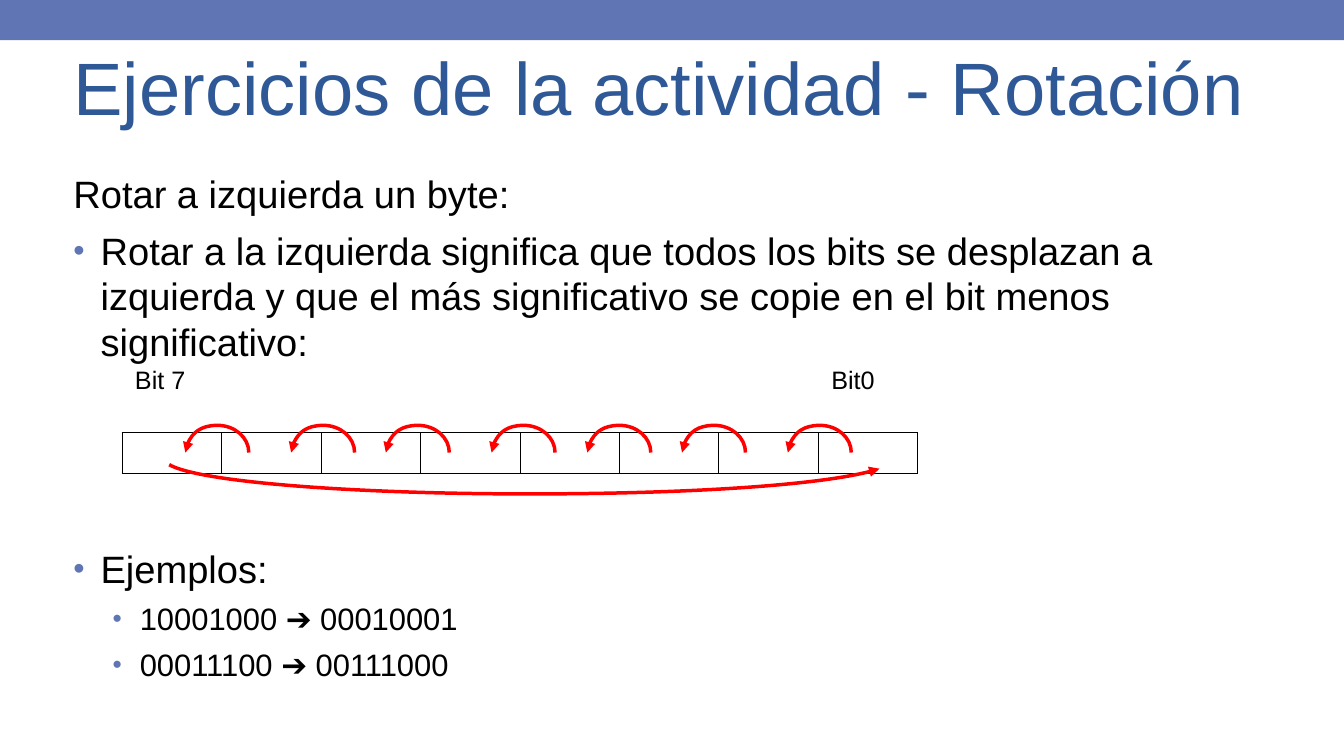
from lxml import etree
from pptx import Presentation
from pptx.dml.color import RGBColor
from pptx.enum.shapes import MSO_SHAPE as Shape
from pptx.enum.text import MSO_ANCHOR as Anchor
from pptx.oxml.ns import qn
from pptx.util import Inches, Pt

FONT = "Arial"
BLUE, TITLE_BLUE, BLACK, RED = "6076B4", "2F5897", "000000", "FF0000"

TITLE = "Ejercicios de la actividad - Rotación"
BODY = [
    dict(text="Rotar a izquierda un byte:", size=27.2, before=8, margin=0.27, bullet=False),
    dict(text="Rotar a la izquierda significa que todos los bits se desplazan a "
              "izquierda y que el más significativo se copie en el bit menos significativo:",
         size=27.2, before=8, margin=0.27, bullet=True),
    dict(text="Ejemplos:", size=27.2, before=129, margin=0.27, bullet=True),
    dict(text="10001000 ➔ 00010001", size=22.1, before=6.5, margin=0.66, bullet=True),
    dict(text="00011100 ➔ 00111000", size=22.1, before=6.5, margin=0.66, bullet=True),
]
BIT_LABELS = {0: "Bit 7", 7: "Bit0"}
BIT_COUNT = 8
TABLE_BOX = (1.21, 3.59, 7.9, 1.11)
ROWS = [dict(height=0.7, lined="B"), dict(height=0.41, lined="LRTB")]
HOP_LEFTS = (7.82, 6.77, 5.83, 4.88, 3.83, 2.89, 1.84)
HOP_TOP = 4.22
HOP_CURVE = [(0.63, 0.27), (0.63, 0.12), (0.49, 0), (0.32, 0),
             (0.15, 0), (0.01, 0.12), (0, 0.27)]
WRAP_CURVE = [(1.68, 4.61), (1.97, 4.78), (3.48, 4.9), (5.25, 4.9),
              (6.87, 4.9), (8.29, 4.8), (8.73, 4.65)]


def color(value):
    return RGBColor.from_string(value)


def box(values):
    return [Inches(value) for value in values]


def add_xml(parent, tag, **attributes):
    return etree.SubElement(parent, qn(tag), attributes)


def style_run(run, size, value):
    for name, setting in dict(name=FONT, size=Pt(size)).items():
        setattr(run.font, name, setting)
    run.font.color.rgb = color(value)


def add_text_frame(slide, bounds, anchor):
    frame = slide.shapes.add_textbox(*box(bounds)).text_frame
    for name, setting in dict(word_wrap=True, vertical_anchor=anchor).items():
        setattr(frame, name, setting)
    return frame


def add_title(slide):
    frame = add_text_frame(slide, (0.63, 0.23, 12, 1.25), Anchor.MIDDLE)
    run = frame.paragraphs[0].add_run()
    run.text = TITLE
    style_run(run, 53, TITLE_BLUE)


def add_body(slide):
    frame = add_text_frame(slide, (0.63, 1.64, 12, 5.47), Anchor.TOP)
    for index, item in enumerate(BODY):
        paragraph = frame.add_paragraph() if index else frame.paragraphs[0]
        paragraph.space_before = Pt(item["before"])
        paragraph.level = int(item["margin"] > 0.27)
        properties = paragraph._p.get_or_add_pPr()
        properties.set("marL", str(Inches(item["margin"])))
        properties.set("indent", str(Inches(-0.27)))
        if item["bullet"]:
            add_xml(add_xml(properties, "a:buClr"), "a:srgbClr", val=BLUE)
            add_xml(properties, "a:buSzPct", val="85000")
            add_xml(properties, "a:buFont", typeface=FONT)
            add_xml(properties, "a:buChar", char="•")
        run = paragraph.add_run()
        run.text = item["text"]
        style_run(run, item["size"], BLACK)


def set_borders(cell, lined):
    properties = cell._tc.get_or_add_tcPr()
    for position, side in enumerate("LRTB"):
        line = etree.Element(qn(f"a:ln{side}"), w=str(Pt(0.45)))
        if side in lined:
            add_xml(add_xml(line, "a:solidFill"), "a:srgbClr", val=BLACK)
        else:
            add_xml(line, "a:noFill")
        properties.insert(position, line)


def add_byte_table(slide):
    table = slide.shapes.add_table(len(ROWS), BIT_COUNT, *box(TABLE_BOX)).table
    table.first_row = table.horz_banding = False
    for row_index, row in enumerate(ROWS):
        table.rows[row_index].height = Inches(row["height"])
        for column in range(BIT_COUNT):
            cell = table.cell(row_index, column)
            cell.fill.background()
            cell.margin_left = cell.margin_right = Inches(0.13)
            set_borders(cell, row["lined"])
            if row_index == 0 and column in BIT_LABELS:
                run = cell.text_frame.paragraphs[0].add_run()
                run.text = BIT_LABELS[column]
                style_run(run, 18, BLACK)


def bend_segments(shape):
    segments = list(shape.element.iter(qn("a:lnTo")))
    for start in range(0, len(segments), 3):
        curve = etree.Element(qn("a:cubicBezTo"))
        segments[start].addprevious(curve)
        for segment in segments[start:start + 3]:
            curve.append(segment[0])
            segment.getparent().remove(segment)


def add_curved_arrow(slide, curve, left=0, top=0):
    points = [box((left + x, top + y)) for x, y in curve]
    builder = slide.shapes.build_freeform(*points[0])
    builder.add_line_segments(points[1:], close=False)
    arrow = builder.convert_to_shape()
    bend_segments(arrow)
    arrow.shadow.inherit = False
    arrow.fill.background()
    arrow.line.color.rgb = color(RED)
    arrow.line.width = Pt(2.5)
    line = arrow.element.spPr.find(qn("a:ln"))
    add_xml(line, "a:round")
    add_xml(line, "a:tailEnd", type="triangle")


def main():
    presentation = Presentation()
    presentation.slide_width, presentation.slide_height = box((13.34, 7.5))
    slide = presentation.slides.add_slide(presentation.slide_layouts[6])
    band = slide.shapes.add_shape(Shape.RECTANGLE, *box((0, 0, 13.34, 0.4)))
    band.shadow.inherit = False
    band.fill.solid()
    band.fill.fore_color.rgb = color(BLUE)
    band.line.fill.background()
    add_title(slide)
    add_body(slide)
    add_byte_table(slide)
    add_curved_arrow(slide, WRAP_CURVE)
    for left in HOP_LEFTS:
        add_curved_arrow(slide, HOP_CURVE, left, HOP_TOP)
    presentation.save("out.pptx")


if __name__ == "__main__":
    main()
